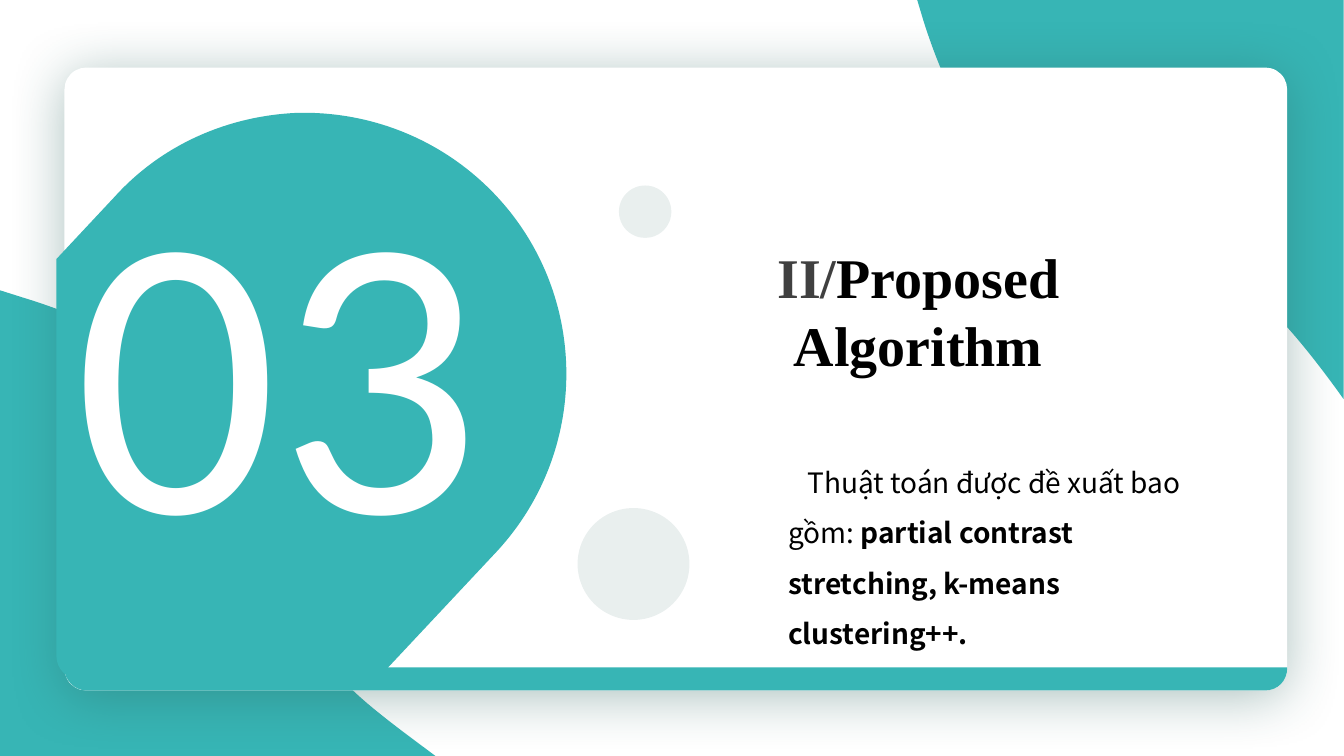
from lxml import etree
from pptx import Presentation
from pptx import util as u
from pptx.dml.color import RGBColor
from pptx.enum import shapes, text
from pptx.oxml import ns

TEAL = RGBColor(0x37, 0xB5, 0xB5)
DARK_GREEN = RGBColor(0x2E, 0x65, 0x5F)
WHITE = RGBColor(0xFF, 0xFF, 0xFF)
BLACK = RGBColor(0, 0, 0)
GREY = RGBColor(0x40, 0x40, 0x40)

presentation = Presentation()
presentation.slide_width, presentation.slide_height = u.Inches(40 / 3), u.Inches(7.5)
slide = presentation.slides.add_slide(presentation.slide_layouts[6])

# Square grid of 7.5 rows
CELL = presentation.slide_height / 7.5


def place(*lengths):
    return [round(length * CELL) for length in lengths]


def paint(shape, color, opacity=100):
    shape.shadow.inherit = False
    shape.line.fill.background()
    shape.fill.solid()
    shape.fill.fore_color.rgb = color
    if opacity < 100:
        color_node = shape.fill._xPr.find(".//" + ns.qn("a:srgbClr"))
        etree.SubElement(color_node, ns.qn("a:alpha"), val=str(opacity * 1000))


# Outlines: a pair is a straight line, six numbers are a Bézier curve
corner_top_right = [
    (13.33, 0), (9.1, 0), (9.16, 0.2),
    (9.32, 0.71, 9.58, 1.29, 9.88, 1.62), (10.28, 2.06, 10.88, 2.09, 11.46, 2.37),
    (12.05, 2.64, 12.16, 2.6, 12.7, 3.17), (12.87, 3.35, 13.07, 3.6, 13.28, 3.89),
    (13.33, 3.96)]
corner_bottom_left = [
    (0, 7.5), (0, 2.88), (0.22, 2.95),
    (0.78, 3.12, 1.41, 3.4, 1.77, 3.73), (2.25, 4.17, 2.28, 4.82, 2.58, 5.46),
    (2.89, 6.1, 2.84, 6.22, 3.46, 6.81), (3.65, 7, 3.93, 7.21, 4.24, 7.44),
    (4.32, 7.5)]
card_base = [
    (0.64, 6.62), (12.77, 6.62), (12.77, 6.63),
    (12.77, 6.75, 12.68, 6.85, 12.55, 6.85), (0.86, 6.85),
    (0.74, 6.85, 0.64, 6.75, 0.64, 6.63)]
number_drop = [
    (2.94, 1.12), (2.28, 1.15, 1.62, 1.42, 1.14, 1.95), (0.56, 2.57), (0.56, 6.51),
    (0.56, 6.63, 0.66, 6.74, 0.79, 6.74), (3.74, 6.74), (4.93, 5.47),
    (5.9, 4.42, 5.84, 2.78, 4.79, 1.81), (4.27, 1.33, 3.6, 1.1, 2.94, 1.12)]

# Back corners first, then the card, then the teal parts on it
for outline, width in ((corner_top_right, 4.23), (corner_bottom_left, 4.32),
                       (None, 12.13), (card_base, 12.13), (number_drop, 5.06)):
    if outline is None:
        card = slide.shapes.add_shape(
            shapes.MSO_SHAPE.ROUNDED_RECTANGLE, *place(0.64, 0.67, width, 6.18))
        card.adjustments[0] = 0.035
        paint(card, WHITE)
        continue
    anchors = [place(*segment[-2:]) for segment in outline]
    builder = slide.shapes.build_freeform(*anchors[0])
    builder.add_line_segments(anchors[1:], close=True)
    shape = builder.convert_to_shape()
    paint(shape, TEAL)

    # The widest point may lie on a curve, between two anchors
    shape.width = round(width * CELL)
    outline_path = shape._element.find(".//" + ns.qn("a:path"))
    outline_path.set("w", str(shape.width))

    # Bend the lines that have control points
    lines = outline_path.findall(ns.qn("a:lnTo"))
    for line, segment in zip(lines, outline[1:]):
        if len(segment) == 6:
            curve = etree.Element(ns.qn("a:cubicBezTo"))
            for x, y in zip(place(*segment[::2]), place(*segment[1::2])):
                etree.SubElement(curve, ns.qn("a:pt"),
                                 x=str(x - shape.left), y=str(y - shape.top))
            outline_path.replace(line, curve)

# Soft shadow below the card
effects = card._element.spPr.find(ns.qn("a:effectLst"))
shadow = etree.SubElement(
    effects, ns.qn("a:outerShdw"), blurRad=str(u.Pt(40)), dist=str(u.Pt(5)),
    dir="5400000", algn="ctr", rotWithShape="0")
shadow_color = etree.SubElement(shadow, ns.qn("a:srgbClr"), val=str(DARK_GREEN))
etree.SubElement(shadow_color, ns.qn("a:alpha"), val="40000")

# Section number
number = slide.shapes.add_textbox(*place(0.74, 1.11, 4.42, 9.66))

# Pale circles
for left, top, diameter in ((5.73, 5.04, 1.11), (6.14, 1.84, 0.52)):
    circle = slide.shapes.add_shape(
        shapes.MSO_SHAPE.OVAL, *place(left, top, diameter, diameter))
    paint(circle, DARK_GREEN, opacity=10)

# Title and description
title = slide.shapes.add_shape(
    shapes.MSO_SHAPE.RECTANGLE, *place(6.36, 2.36, 5.5, 1.45))
paint(title, WHITE)
description = slide.shapes.add_textbox(*place(7.72, 4.4, 4.09, 1.62))

# Wording: shape, margins, paragraph format, font, runs as (text, color, bold)
no_margins = dict.fromkeys(
    ("margin_left", "margin_top", "margin_right", "margin_bottom"), 0)
wording = [
    (number, no_margins, {"alignment": text.PP_ALIGN.JUSTIFY},
     {"name": "Calibri", "size": u.Pt(287)}, [("03", WHITE, False)]),
    (title, {}, {"alignment": text.PP_ALIGN.CENTER},
     {"name": "Times New Roman", "size": u.Pt(40)},
     [("II/", GREY, True), ("Proposed Algorithm", BLACK, True)]),
    (description, {}, {"alignment": text.PP_ALIGN.LEFT, "line_spacing": 1.5},
     {"name": "Noto Sans CJK SC", "size": u.Pt(20)},
     [("Thuật toán được đề xuất bao gồm:", BLACK, False),
      (" partial contrast stretching, k-means clustering++.", BLACK, True)]),
]
for shape, frame_format, paragraph_format, font_format, runs in wording:
    frame = shape.text_frame
    frame_format = {"word_wrap": True, "vertical_anchor": text.MSO_ANCHOR.TOP,
                    **frame_format}
    paragraph = frame.paragraphs[0]
    for target, values in ((frame, frame_format), (paragraph, paragraph_format)):
        for name, value in values.items():
            setattr(target, name, value)
    for words, color, bold in runs:
        run = paragraph.add_run()
        run.text = words
        for name, value in {**font_format, "bold": bold}.items():
            setattr(run.font, name, value)
        run.font.color.rgb = color

# First-line indent of the description
description.text_frame.paragraphs[0]._p.get_or_add_pPr().set(
    "indent", str(round(0.19 * CELL)))

presentation.save("out.pptx")
